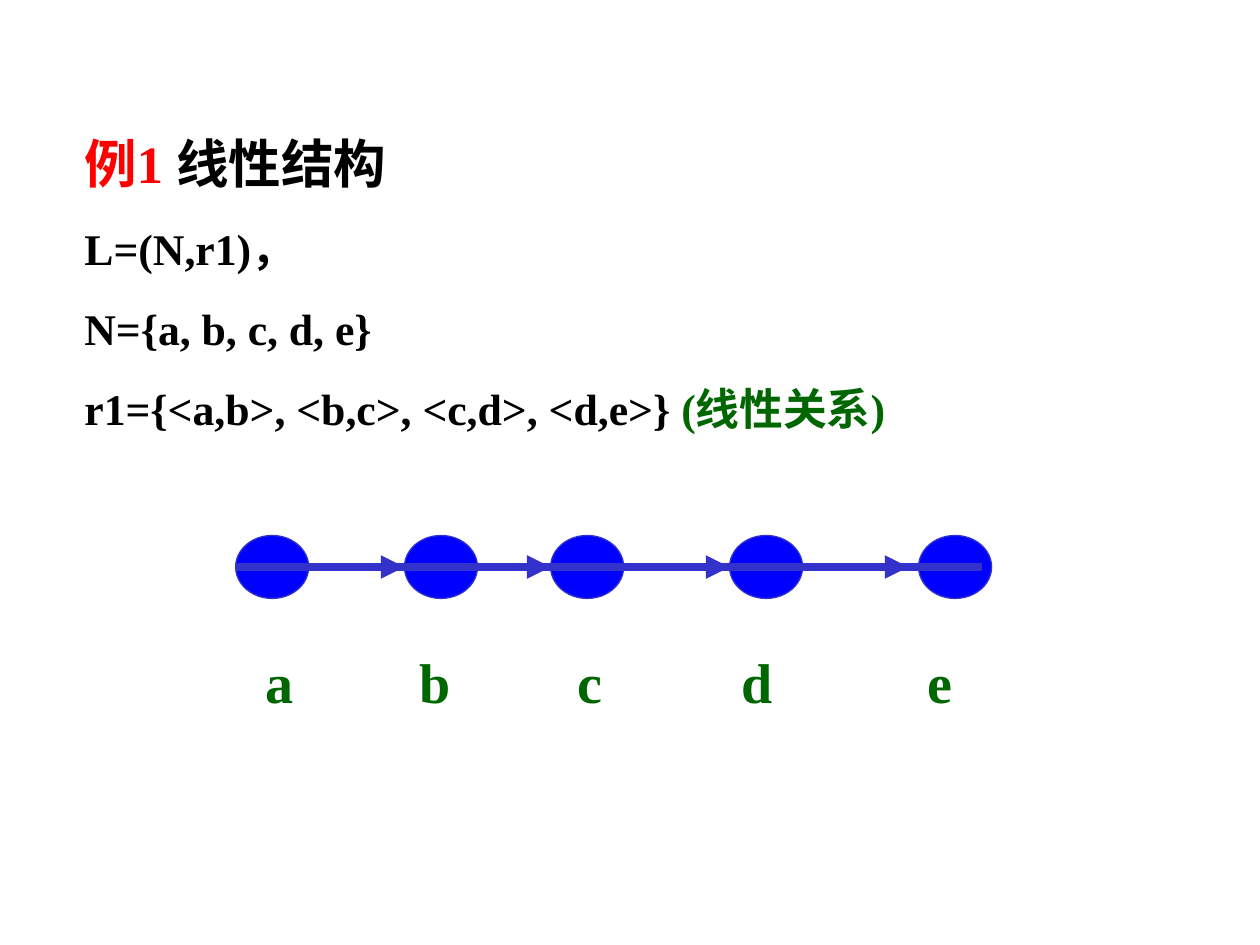
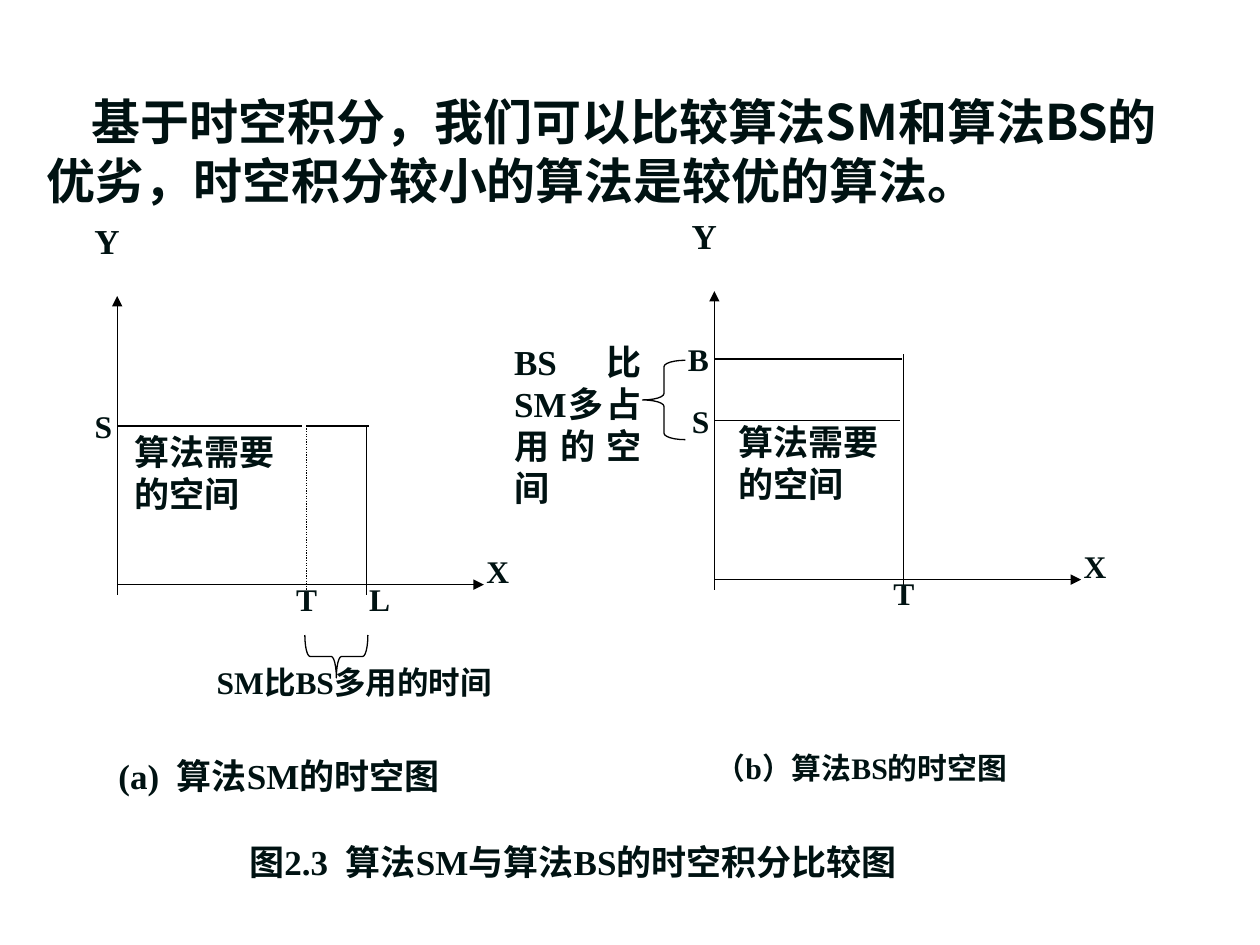
from lxml import etree
from pptx import Presentation
from pptx.dml.color import RGBColor
from pptx.enum.dml import MSO_LINE
from pptx.enum.shapes import MSO_CONNECTOR, MSO_SHAPE
from pptx.enum.text import MSO_ANCHOR, MSO_AUTO_SIZE, PP_ALIGN
from pptx.oxml.ns import qn
from pptx.util import Inches, Pt

RED = RGBColor(0xFF, 0x00, 0x00)
BLACK = RGBColor(0x00, 0x00, 0x00)
GREEN = RGBColor(0x00, 0x66, 0x00)
BLUE = RGBColor(0x00, 0x00, 0xFF)
INDIGO = RGBColor(0x33, 0x33, 0xCC)
INK = RGBColor(0x00, 0x12, 0x12)
SERIF = "Times New Roman"
SANS = "Noto Sans CJK SC"


def add_label(slide, text, box, size, color=INK, align=PP_ALIGN.JUSTIFY):
    """Bold serif text in a box without margins; each line is a paragraph."""
    frame = slide.shapes.add_textbox(*map(Inches, box)).text_frame
    frame.word_wrap = True
    frame.margin_left = frame.margin_right = 0
    frame.margin_top = frame.margin_bottom = 0
    frame.text = text
    for paragraph in frame.paragraphs:
        paragraph.alignment = align
        paragraph.font.name = SERIF
        paragraph.font.size = Pt(size)
        paragraph.font.bold = True
        paragraph.font.color.rgb = color


def add_line(slide, ends, color=BLACK, width=0.75, arrow=False):
    line = slide.shapes.add_connector(MSO_CONNECTOR.STRAIGHT, *map(Inches, ends))
    line.line.color.rgb = color
    line.line.width = Pt(width)
    if arrow:
        etree.SubElement(line.line._get_or_add_ln(), qn("a:tailEnd"), type="triangle")
    etree.SubElement(line._element.spPr, qn("a:effectLst"))
    return line


prs = Presentation()
prs.slide_width, prs.slide_height = Inches(10), Inches(7.5)
linear = prs.slides.add_slide(prs.slide_layouts[1])
spacetime = prs.slides.add_slide(prs.slide_layouts[5])

# Titles and definitions: placeholder, box, size, font, color, first-line indent, lines
heading, definitions = linear.placeholders
statement = spacetime.shapes.title
passages = [
    (heading, (0.57, 0.99, 8.6, 0.7), 30, SERIF, BLACK, 0,
     [[("例1 ", RED), ("线性结构", BLACK)]]),
    (definitions, (0.57, 1.71, 8.6, 1.78), 25, SERIF, BLACK, 0,
     [[("L=(N,r1)，", BLACK)],
      [("N={a, b, c, d, e}", BLACK)],
      [("r1={<a,b>, <b,c>, <c,d>, <d,e>}", BLACK), (" (线性关系)", GREEN)]]),
    (statement, (0.27, 0.68, 9.37, 1.04), 28, SANS, INK, 0.36,
     [[("基于时空积分，我们可以比较算法SM和算法BS的优劣，"
        "时空积分较小的算法是较优的算法。", INK)]]),
]
for holder, box, size, font, color, indent, lines in passages:
    holder.left, holder.top, holder.width, holder.height = map(Inches, box)
    frame = holder.text_frame
    frame.vertical_anchor = MSO_ANCHOR.TOP
    frame.auto_size = MSO_AUTO_SIZE.NONE
    for number, runs in enumerate(lines):
        paragraph = frame.add_paragraph() if number else frame.paragraphs[0]
        paragraph.alignment = PP_ALIGN.LEFT
        paragraph.space_before = Pt(15.6 if number else 0)
        properties = paragraph._p.get_or_add_pPr()
        properties.set("marL", "0")
        properties.set("indent", str(Inches(indent)))
        etree.SubElement(properties, qn("a:buNone"))
        paragraph.font.name = font
        paragraph.font.size = Pt(size)
        paragraph.font.bold = True
        paragraph.font.color.rgb = color
        for text, run_color in runs:
            run = paragraph.add_run()
            run.text = text
            if run_color != color:
                run.font.color.rgb = run_color

# Slide 1: chain of nodes, with name, left edge and centre of the name
nodes = [("a", 1.87, 2.22), ("b", 3.21, 3.45), ("c", 4.37, 4.68),
         ("d", 5.79, 6.01), ("e", 7.29, 7.46)]
for name, left, name_x in nodes:
    node = linear.shapes.add_shape(
        MSO_SHAPE.OVAL, Inches(left), Inches(4.25), Inches(0.58), Inches(0.5))
    node.shadow.inherit = False
    node.fill.solid()
    node.fill.fore_color.rgb = BLUE
    node.line.color.rgb = INDIGO
    node.line.width = Pt(0.75)
    add_label(linear, name, (name_x - 0.25, 5.14, 0.5, 0.54), 32, GREEN, PP_ALIGN.CENTER)
for start in (1.87, 3.29):
    add_line(linear, (start, 4.5, start + 4.5, 4.5), INDIGO, 4.5)
for tip in (3.21, 4.37, 5.79, 7.21):
    add_line(linear, (tip - 0.17, 4.5, tip, 4.5), INDIGO, 4.5, arrow=True)

# Slide 2: what both space-time plots share
for x, y, space_x, space_y in [(0.93, 4.64, 1.07, 3.42), (5.67, 4.6, 5.86, 3.34)]:
    add_line(spacetime, (x, y + 0.08, x, y - 2.29), arrow=True)
    add_line(spacetime, (x, y, x + 2.91, y), arrow=True)
    add_line(spacetime, (x, y - 1.26, x + 1.47, y - 1.26))
    time_limit = add_line(spacetime, (x + 1.5, y - 1.26, x + 1.5, y + 0.08))
    if x < 5:
        time_limit.line.dash_style = MSO_LINE.ROUND_DOT
    add_label(spacetime, "Y", (x - 0.18, y - 2.9, 0.24, 0.57), 20)
    add_label(spacetime, "X", (x + 2.93, y - 0.26, 0.24, 0.57), 18)
    add_label(spacetime, "S", (x - 0.18, y - 1.41, 0.19, 0.5), 18)
    add_label(spacetime, "T", (x + 1.42, y - 0.04, 0.19, 0.5), 18)
    add_label(spacetime, "算法需要\n的空间", (space_x, space_y, 1.2, 1.18), 20)

# Extra time of SM and extra space of BS
for ends in [(2.43, 3.38, 2.93, 3.38), (2.91, 3.38, 2.91, 4.72), (2.91, 4.64, 3.25, 4.64),
             (7.17, 3.38, 7.17, 2.81), (7.16, 2.85, 5.67, 2.85)]:
    add_line(spacetime, ends)
add_label(spacetime, "L", (2.93, 4.6, 0.19, 0.5), 18)
add_label(spacetime, "B", (5.46, 2.7, 0.19, 0.5), 18)
add_label(spacetime, "SM比BS多用的时间", (1.72, 5.26, 2.38, 0.49), 18)
add_label(spacetime, "BS比SM多占用的空间", (4.08, 2.7, 1.01, 1.51), 20)
for box, rotation, curve in [((2.5, 4.96, 0.34, 0.5), 270, 0.12),
                             ((5.1, 2.86, 0.34, 0.63), 0, 0.15)]:
    brace = spacetime.shapes.add_shape(MSO_SHAPE.LEFT_BRACE, *map(Inches, box))
    brace.shadow.inherit = False
    brace.rotation = rotation
    brace.adjustments[0] = curve
    brace.fill.background()
    brace.line.color.rgb = BLACK
    brace.line.width = Pt(0.75)

# Captions
add_label(spacetime, "(a)  算法SM的时空图", (0.94, 5.99, 2.77, 0.61), 20)
add_label(spacetime, "（b）算法BS的时空图", (5.68, 5.95, 2.77, 0.61), 17)
add_label(spacetime, "图2.3  算法SM与算法BS的时空积分比较图",
          (1.7, 6.67, 5.7, 0.58), 20, align=PP_ALIGN.CENTER)

prs.save("out.pptx")
